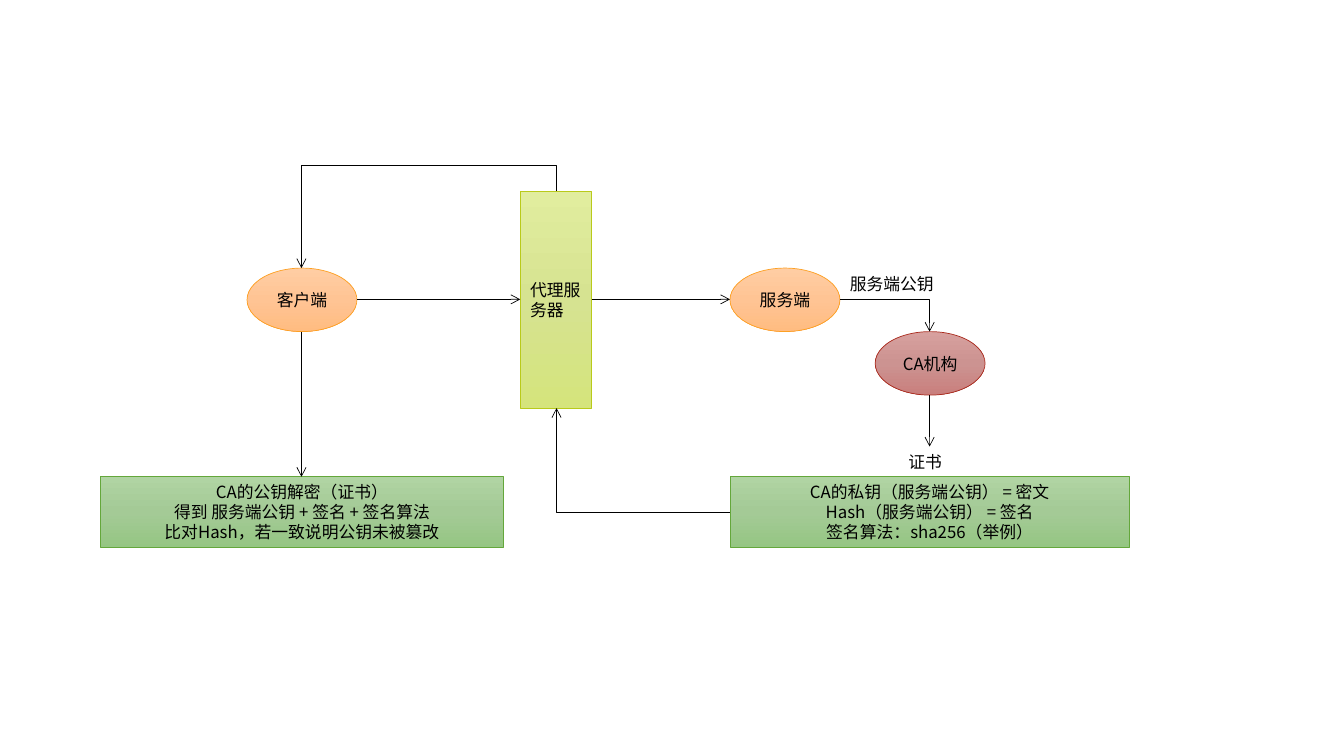
from copy import deepcopy

from pptx import Presentation
from pptx import util as u
from pptx.dml.color import RGBColor
from pptx.enum import shapes, text
from pptx.oxml import ns
from pptx.oxml.xmlchemy import OxmlElement

FONT = "Noto Sans CJK SC"
BLACK = RGBColor(0x00, 0x00, 0x00)
# Each style: three gradient stops from top to bottom, then the outline
ORANGE = [RGBColor.from_string(c) for c in ("FFCDA3", "FFC494", "FFBC81", "FDA023")]
LIME = [RGBColor.from_string(c) for c in ("E1ED9E", "D6E391", "D5E47C", "B9CA1A")]
GREEN = [RGBColor.from_string(c) for c in ("B0D4A3", "A4CA96", "95C683", "64A73B")]
RED = [RGBColor.from_string(c) for c in ("D7A09E", "CC9391", "C97F7D", "AA2B1E")]

OVAL = shapes.MSO_SHAPE.OVAL
RECTANGLE = shapes.MSO_SHAPE.RECTANGLE
CENTER = text.PP_ALIGN.CENTER
LEFT = text.PP_ALIGN.LEFT

OVAL_SIZE = (1.09, 0.63)
CLIENT_X, PROXY_X, CA_X = 2.99, 5.52, 9.22
PROXY_LEFT, PROXY_RIGHT, PROXY_TOP, PROXY_BOTTOM = 5.16, 5.87, 1.9, 4.05
SERVER_LEFT, SERVER_RIGHT = 7.24, 8.33
OVAL_TOP, ROW_Y, OVAL_BOTTOM = 2.66, 2.97, 3.29
CA_BOTTOM, LABEL_TOP, BOX_TOP, BOX_MIDDLE = 3.92, 4.43, 4.73, 5.08


class Diagram:
    def __init__(self, slide, size=12, line_width=0.5):
        self.slide = slide
        self.size = u.Pt(size)
        self.line_width = u.Pt(line_width)

    def set_text(self, shape, content, align):
        frame = shape.text_frame
        frame.word_wrap = True
        frame.text = content
        for paragraph in frame.paragraphs:
            paragraph.alignment = align
            for run in paragraph.runs:
                run.font.size = self.size
                run.font.name = FONT
                run.font.color.rgb = BLACK
                east_asian = OxmlElement("a:ea")
                east_asian.set("typeface", FONT)
                run.font._element.find(ns.qn("a:latin")).addnext(east_asian)

    def node(self, kind, content, left, top, width, height, style, align=CENTER):
        shape = self.slide.shapes.add_shape(
            kind, *map(u.Inches, (left, top, width, height)))
        shape.shadow.inherit = False
        self.shade(shape, style[:3])
        shape.line.color.rgb = style[3]
        shape.line.width = self.line_width
        self.set_text(shape, content, align)
        shape.text_frame.vertical_anchor = text.MSO_ANCHOR.MIDDLE

    def shade(self, shape, colors):
        """Fill with a downward gradient of three evenly spaced colours."""
        shape.fill.gradient()
        shape.fill.gradient_angle = 270
        stop_list = shape._element.spPr.find(ns.qn("a:gradFill")).find(ns.qn("a:gsLst"))
        stop_list.insert(1, deepcopy(stop_list[0]))
        for index, (stop, color) in enumerate(zip(shape.fill.gradient_stops, colors)):
            stop.position = index / 2
            stop.color.rgb = color

    def label(self, content, left, top, width, height=0.3):
        box = self.slide.shapes.add_textbox(
            *map(u.Inches, (left, top, width, height)))
        self.set_text(box, content, LEFT)
        box.text_frame.auto_size = text.MSO_AUTO_SIZE.SHAPE_TO_FIT_TEXT

    def arrow(self, start, end, kind=shapes.MSO_CONNECTOR.STRAIGHT):
        connector = self.slide.shapes.add_connector(
            kind, *map(u.Inches, (*start, *end)))
        connector.line.color.rgb = BLACK
        connector.line.width = self.line_width
        tail = OxmlElement("a:tailEnd")
        tail.set("type", "arrow")
        properties = connector._element.spPr
        properties.find(ns.qn("a:ln")).append(tail)
        properties.append(OxmlElement("a:effectLst"))
        return connector

    def corner_arrow(self, start, end):
        """Run sideways first, then turn once towards the end."""
        connector = self.arrow(start, end, shapes.MSO_CONNECTOR.ELBOW)
        geometry = connector._element.spPr.find(ns.qn("a:prstGeom"))
        geometry.set("prst", "bentConnector2")

    def over_arrow(self, start, end, rise):
        """Rise from the start, run left and come down on the end."""
        center_x, center_y = (start[0] + end[0]) / 2, (start[1] + end[1]) / 2
        drop = end[1] - start[1]
        half_width, half_height = drop / 2, (start[0] - end[0]) / 2
        connector = self.arrow(
            (center_x + half_width, center_y + half_height),
            (center_x - half_width, center_y - half_height),
            shapes.MSO_CONNECTOR.ELBOW)
        properties = connector._element.spPr
        properties.find(ns.qn("a:xfrm")).set("rot", str(270 * 60000))
        guide = OxmlElement("a:gd")
        guide.set("name", "adj1")
        guide.set("fmla", f"val {round(-rise / drop * 100000)}")
        geometry = properties.find(ns.qn("a:prstGeom"))
        geometry.find(ns.qn("a:avLst")).append(guide)


def main():
    presentation = Presentation()
    presentation.slide_width = u.Inches(13.33)
    presentation.slide_height = u.Inches(7.5)
    slide = presentation.slides.add_slide(presentation.slide_layouts[6])
    diagram = Diagram(slide)

    diagram.node(OVAL, "客户端", 2.45, OVAL_TOP, *OVAL_SIZE, ORANGE)
    diagram.node(RECTANGLE, "代理服务器", PROXY_LEFT, PROXY_TOP, 0.71, 2.15, LIME, LEFT)
    diagram.node(OVAL, "服务端", SERVER_LEFT, OVAL_TOP, *OVAL_SIZE, ORANGE)
    diagram.node(OVAL, "CA机构", 8.68, OVAL_BOTTOM, *OVAL_SIZE, RED)
    diagram.node(
        RECTANGLE,
        "CA的私钥（服务端公钥） = 密文\nHash（服务端公钥） = 签名\n签名算法：sha256（举例）",
        SERVER_LEFT, BOX_TOP, 3.96, 0.7, GREEN)
    diagram.node(
        RECTANGLE,
        "CA的公钥解密（证书）\n得到 服务端公钥 + 签名 + 签名算法\n比对Hash，若一致说明公钥未被篡改",
        1, BOX_TOP, 3.99, 0.7, GREEN)

    diagram.label("证书", 8.91, LABEL_TOP, 0.62)
    diagram.label("服务端公钥", SERVER_RIGHT, 2.67, 1.06)

    diagram.arrow((3.54, ROW_Y), (PROXY_LEFT, ROW_Y))
    diagram.arrow((PROXY_RIGHT, ROW_Y), (SERVER_LEFT, ROW_Y))
    diagram.arrow((CLIENT_X, OVAL_BOTTOM), (CLIENT_X, BOX_TOP))
    diagram.arrow((CA_X, CA_BOTTOM), (CA_X, LABEL_TOP))
    diagram.corner_arrow((SERVER_RIGHT, ROW_Y), (CA_X, OVAL_BOTTOM))
    diagram.corner_arrow((SERVER_LEFT, BOX_MIDDLE), (PROXY_X, PROXY_BOTTOM))
    diagram.over_arrow((PROXY_X, PROXY_TOP), (CLIENT_X, OVAL_TOP), rise=0.26)

    presentation.save("out.pptx")


if __name__ == "__main__":
    main()
